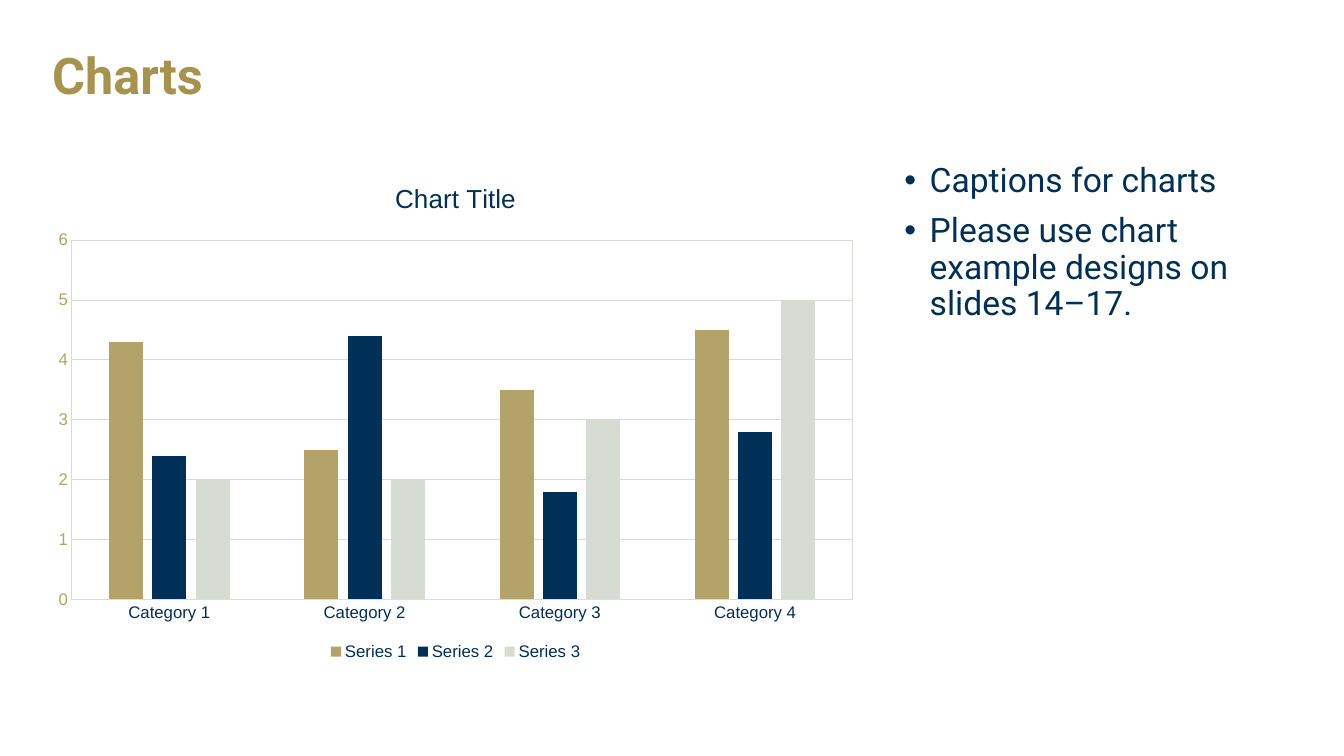
from dataclasses import dataclass

from lxml.etree import SubElement
from pptx import Presentation
from pptx.chart.data import CategoryChartData
from pptx.dml.color import RGBColor
from pptx.enum.chart import XL_CHART_TYPE, XL_LEGEND_POSITION, XL_TICK_MARK
from pptx.enum.text import MSO_ANCHOR, PP_ALIGN
from pptx.oxml import parse_xml
from pptx.oxml.ns import nsdecls, qn
from pptx.util import Emu, Pt

EMU_PER_PX = 9525


@dataclass(frozen=True)
class Theme:
    heading: str = "A7934B"
    gold: str = "B3A369"
    navy: str = "003057"
    grey: str = "D6DBD4"
    sky: str = "C0E3FF"
    text_font: str = "Roboto"
    chart_font: str = "Arial"
    title_size: float = 36
    body_size: float = 24
    chart_title_size: float = 18.6
    label_size: float = 12
    hairline: float = 0.75


THEME = Theme()

CATEGORIES = ["Category 1", "Category 2", "Category 3", "Category 4"]
SERIES = {
    "Series 1": ((4.3, 2.5, 3.5, 4.5), THEME.gold),
    "Series 2": ((2.4, 4.4, 1.8, 2.8), THEME.navy),
    "Series 3": ((2, 2, 3, 5), THEME.grey),
}
CAPTIONS = [
    "Captions for charts",
    "Please use chart example designs on slides 14–17.",
]


def px(*lengths):
    return [Emu(length * EMU_PER_PX) for length in lengths]


def apply_format(target, settings):
    for name, value in settings.items():
        setattr(target, name, value)


def style_font(font, size, color, name, bold=False):
    apply_format(font, {"size": Pt(size), "name": name, "bold": bold})
    font.color.rgb = RGBColor.from_string(color)


def style_line(line, color):
    line.color.rgb = RGBColor.from_string(color)
    line.width = Pt(THEME.hairline)


def add_title(slide, text, box):
    title = slide.shapes.title
    apply_format(title, dict(zip(("left", "top", "width", "height"), px(*box))))
    frame = title.text_frame
    apply_format(frame, {"text": text, "vertical_anchor": MSO_ANCHOR.MIDDLE})
    heading = frame.paragraphs[0]
    apply_format(heading, {"alignment": PP_ALIGN.LEFT, "line_spacing": 0.9})
    style_font(heading.runs[0].font, THEME.title_size, THEME.heading,
               THEME.text_font, bold=True)


def add_bullet(paragraph, indent):
    properties = paragraph._p.get_or_add_pPr()
    properties.set("marL", str(indent))
    properties.set("indent", str(-indent))
    bullet_color = SubElement(properties, qn("a:buClr"))
    SubElement(bullet_color, qn("a:srgbClr"), val=THEME.navy)
    SubElement(properties, qn("a:buFont"), typeface="Arial")
    SubElement(properties, qn("a:buChar"), char="•")


def add_captions(slide, captions, box):
    frame = slide.shapes.add_textbox(*px(*box)).text_frame
    frame.word_wrap = True
    indent, = px(24)
    for index, text in enumerate(captions):
        caption = frame.paragraphs[0] if index == 0 else frame.add_paragraph()
        add_bullet(caption, indent)
        caption.line_spacing = 0.9
        if index:
            caption.space_before = Pt(10)
        run = caption.add_run()
        run.text = text
        style_font(run.font, THEME.body_size, THEME.navy, THEME.text_font)


def style_axis(axis, label_color):
    apply_format(axis, {"major_tick_mark": XL_TICK_MARK.NONE,
                        "minor_tick_mark": XL_TICK_MARK.NONE})
    style_font(axis.tick_labels.font, THEME.label_size, label_color,
               THEME.chart_font)


def frame_plot_area(chart):
    plot_area = chart._chartSpace.chart.plotArea
    plot_area.append(parse_xml(
        f'<c:spPr {nsdecls("c", "a")}><a:noFill/>'
        f'<a:ln w="{Pt(THEME.hairline)}"><a:solidFill>'
        f'<a:srgbClr val="{THEME.grey}"/></a:solidFill></a:ln></c:spPr>'))


def add_column_chart(slide, heading, box):
    data = CategoryChartData()
    data.categories = CATEGORIES
    for name, (values, _) in SERIES.items():
        data.add_series(name, values)
    chart = slide.shapes.add_chart(
        XL_CHART_TYPE.COLUMN_CLUSTERED, *px(*box), data).chart
    style_font(chart.font, THEME.label_size, THEME.navy, THEME.chart_font)

    # Chart title and legend
    chart.has_title = True
    chart.chart_title.include_in_layout = False
    title_frame = chart.chart_title.text_frame
    title_frame.text = heading
    style_font(title_frame.paragraphs[0].runs[0].font,
               THEME.chart_title_size, THEME.navy, THEME.chart_font)
    chart.has_legend = True
    apply_format(chart.legend, {"position": XL_LEGEND_POSITION.BOTTOM,
                                "include_in_layout": False})
    style_font(chart.legend.font, THEME.label_size, THEME.navy,
               THEME.chart_font)

    # Axes and grid
    style_axis(chart.category_axis, THEME.navy)
    style_line(chart.category_axis.format.line, THEME.sky)
    value_axis = chart.value_axis
    style_axis(value_axis, THEME.gold)
    apply_format(value_axis, {"minimum_scale": 0, "maximum_scale": 6,
                              "major_unit": 1})
    value_axis.format.line.fill.background()
    style_line(value_axis.major_gridlines.format.line, THEME.grey)
    frame_plot_area(chart)

    # Columns
    plot = chart.plots[0]
    apply_format(plot, {"gap_width": 219, "overlap": -27,
                        "vary_by_categories": False})
    for columns in plot.series:
        columns.format.fill.solid()
        color = SERIES[columns.name][1]
        columns.format.fill.fore_color.rgb = RGBColor.from_string(color)


def main():
    deck = Presentation()
    deck.slide_width, deck.slide_height = px(1280, 720)
    slide = deck.slides.add_slide(deck.slide_layouts[5])
    add_title(slide, "Charts", (40, 21, 1200, 107))
    add_column_chart(slide, "Chart Title", (40, 153, 788, 480))
    add_captions(slide, CAPTIONS, (852, 151, 388, 359))
    deck.save("out.pptx")


if __name__ == "__main__":
    main()
